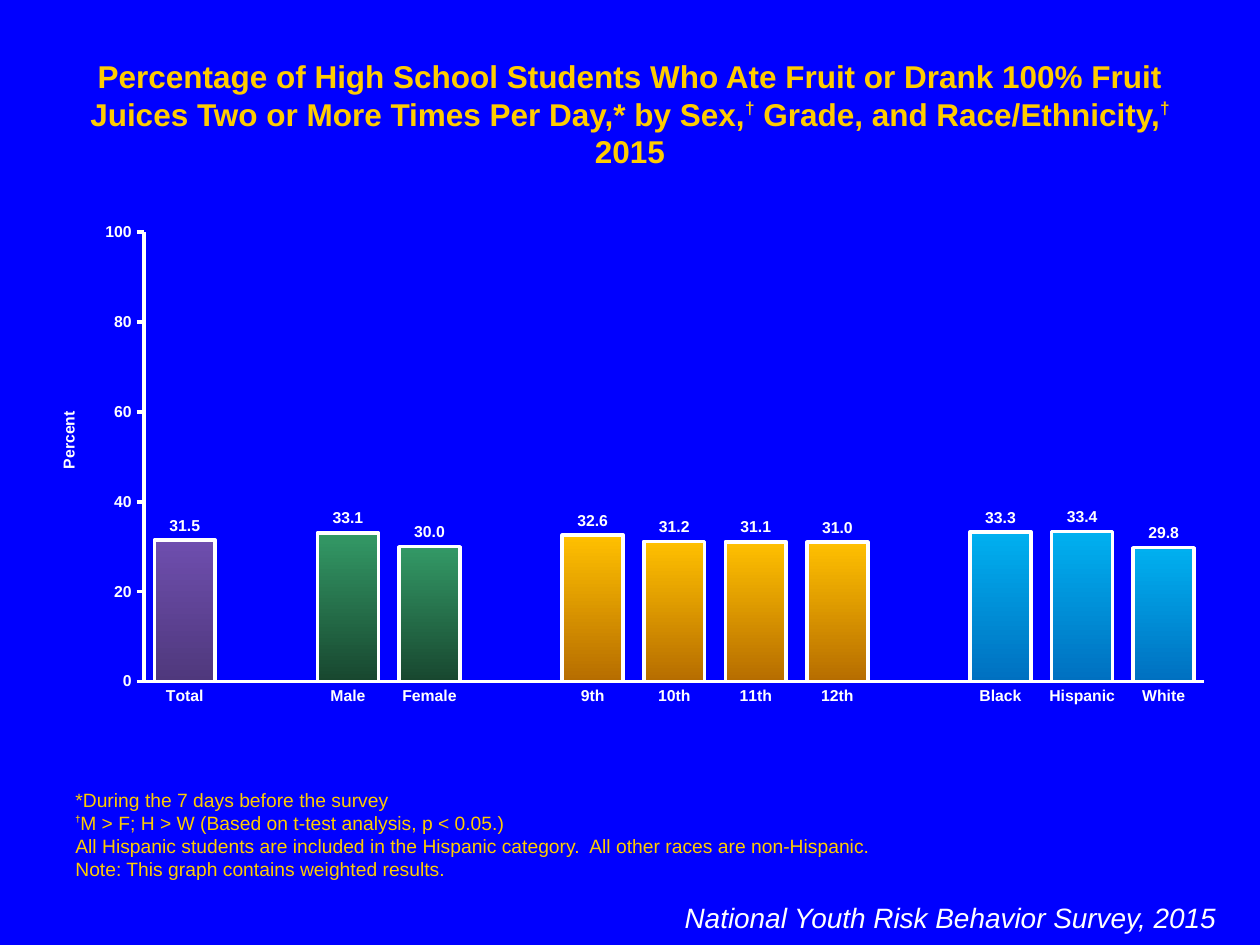
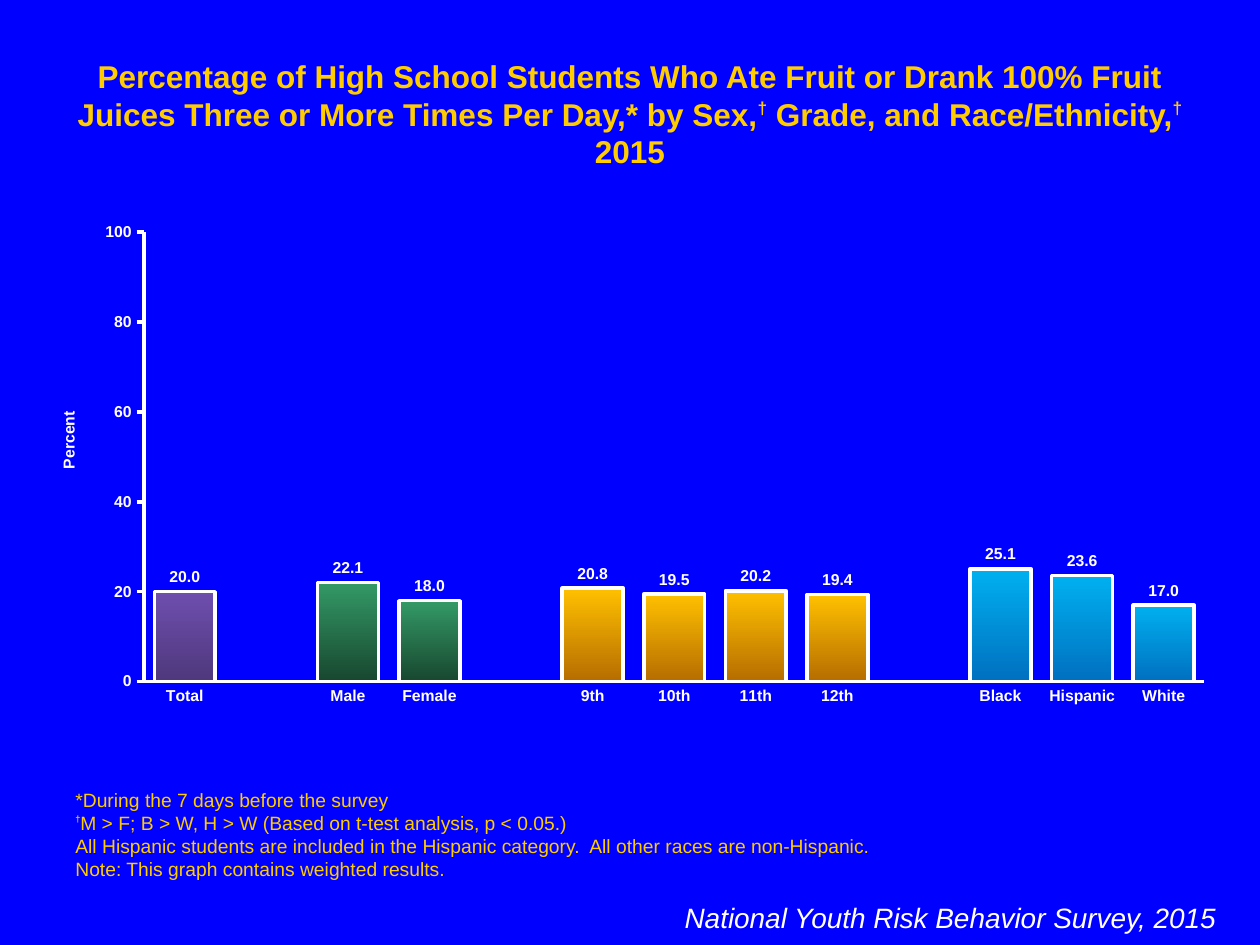
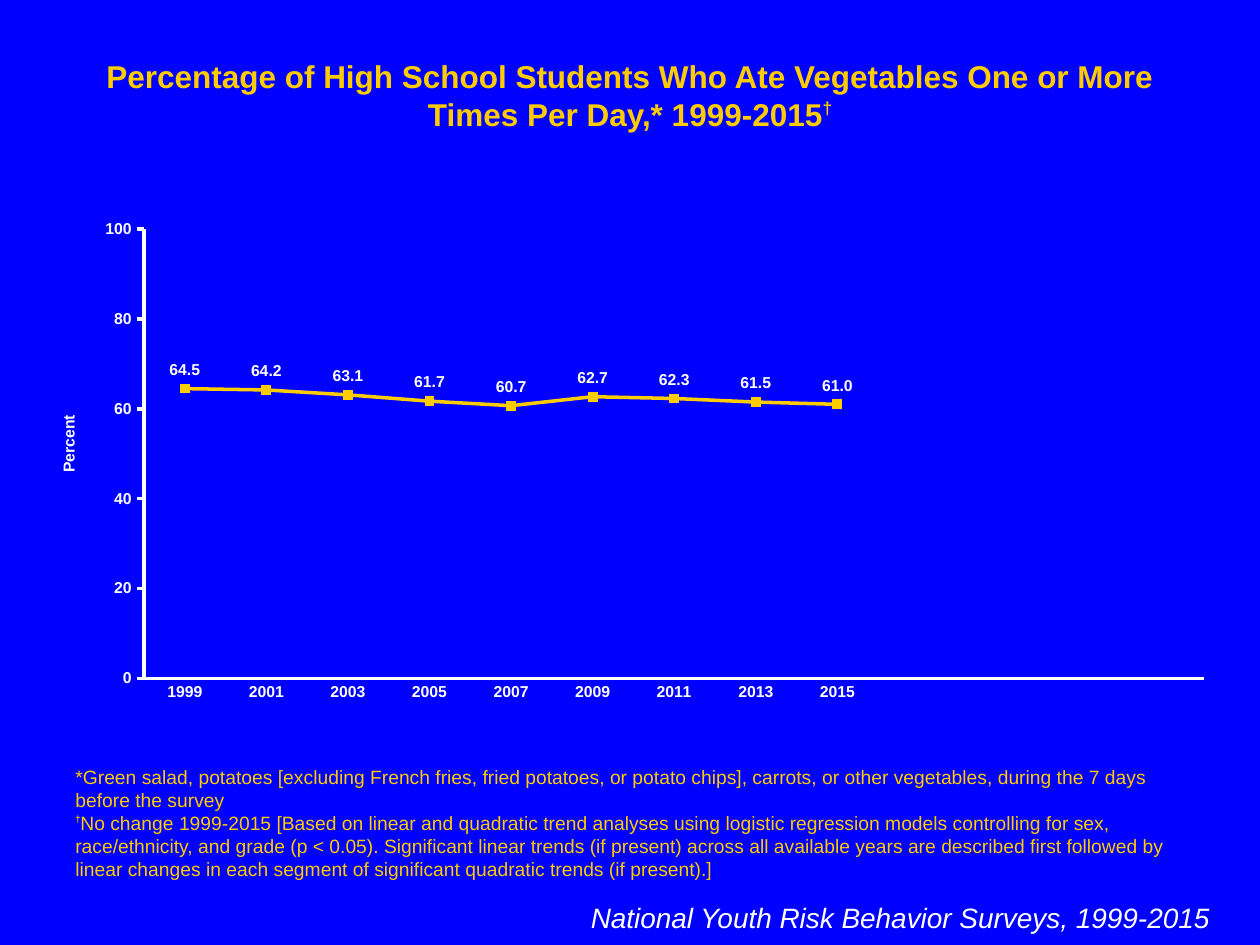
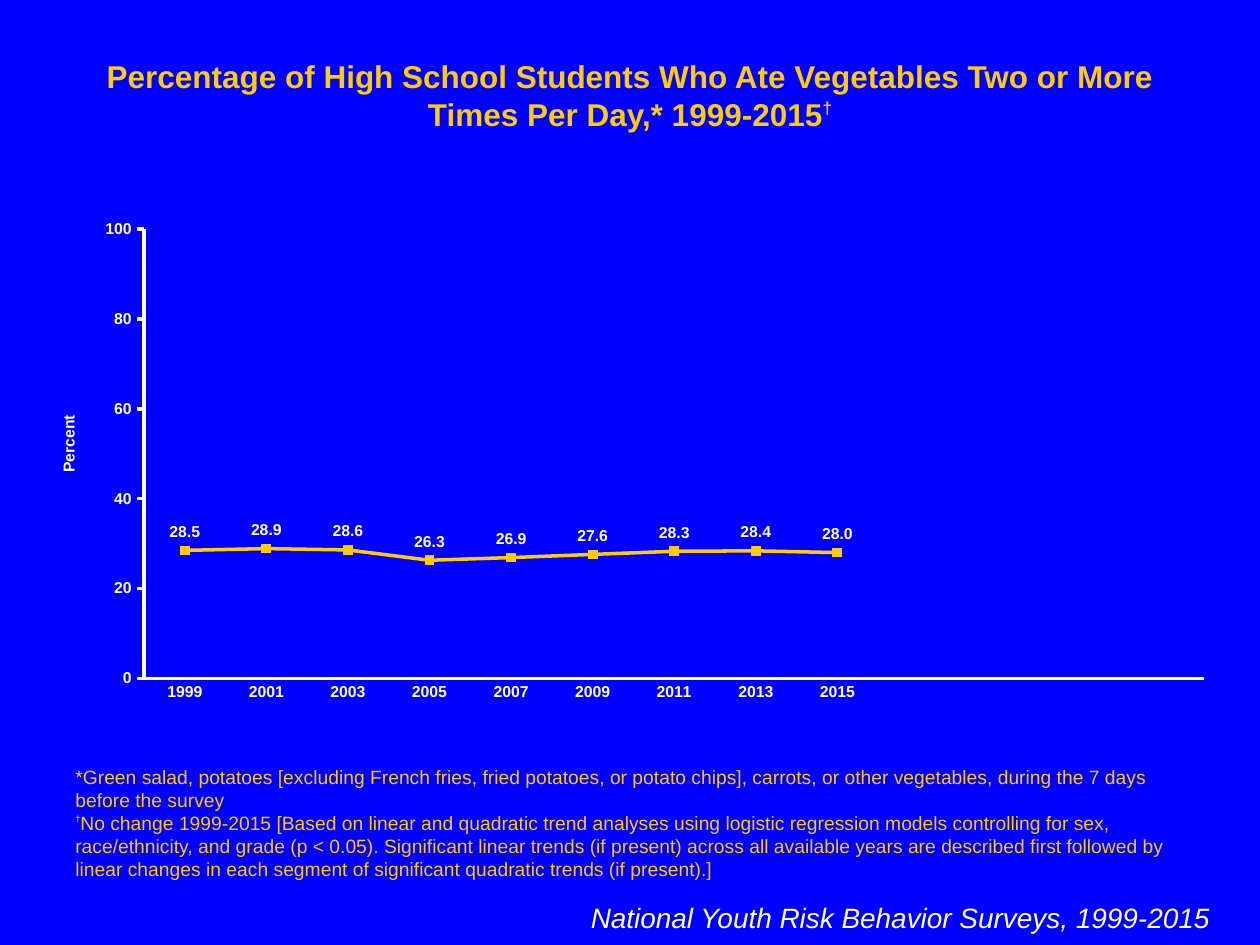
import pptx
import pptx.chart.data
import pptx.dml.color
import pptx.enum.chart
import pptx.enum.text
import pptx.oxml
import pptx.oxml.ns
import pptx.util

Inches, Pt = pptx.util.Inches, pptx.util.Pt
CH = pptx.enum.chart
ALIGN = pptx.enum.text.PP_ALIGN
ANCHOR = pptx.enum.text.MSO_ANCHOR

COLORS = {
    "background": "0000FF",
    "gold": "FFCC00",
    "white": "FFFFFF",
    "total": ("6E4EAE", "4F387C"),
    "sex": ("339966", "18472F"),
    "grade": ("FFC000", "B66D00"),
    "race": ("00B0F0", "0070C0"),
}
FONT = "Arial"
DAGGER = "†"
TITLE = {"size": Pt(18), "bold": True}
TITLE_DAGGER = {"size": Pt(17), "bold": True}
NOTE = {"size": Pt(11), "bold": False}
NOTE_DAGGER = {"size": Pt(9), "bold": True}
FOOTER = {"size": Pt(16), "italic": True}
CHART_FONT = {"size": Pt(9), "bold": True}

TITLE_BOX = (0.5, 0.4, 9, 0.4)
NOTE_BOX = (0.5, 6.75, 9, 0.29)
BAR_FOOTER_BOX = (4.25, 7.1, 5.5, 0.37)
LINE_FOOTER_BOX = (4.53, 7.1, 5.17, 0.37)
BAR_BOX = (0.25, 1.69, 9.5, 3.98)
LINE_BOX = (0.25, 1.67, 9.5, 4)
PLOT_INSET = (0.89, 0.15, 8.42, 3.57)

GROUPS = [
    ("total", ["Total"]),
    ("sex", ["Male", "Female"]),
    ("grade", ["9th", "10th", "11th", "12th"]),
    ("race", ["Black", "Hispanic", "White"]),
]
YEARS = [str(year) for year in range(1999, 2016, 2)]
YEAR_SLOTS = 13

BAR_TITLE = ("Percentage of High School Students Who Ate Fruit or Drank 100% Fruit Juices "
             "{} or More Times Per Day,* by Sex,† Grade, and Race/Ethnicity,† 2015")
BAR_NOTES = [
    "*During the 7 days before the survey",
    "†{} (Based on t-test analysis, p < 0.05.)",
    "All Hispanic students are included in the Hispanic category.  All other races are non-Hispanic.",
    "Note: This graph contains weighted results.",
]
LINE_TITLE = ("Percentage of High School Students Who Ate Vegetables "
              "{} or More Times Per Day,* 1999-2015†")
LINE_NOTES = [
    "*Green salad, potatoes [excluding French fries, fried potatoes, or potato chips], "
    "carrots, or other vegetables, during the 7 days before the survey",
    "†No change 1999-2015 [Based on linear and quadratic trend analyses using logistic "
    "regression models controlling for sex, race/ethnicity, and grade (p < 0.05). "
    "Significant linear trends (if present) across all available years are described first "
    "followed by linear changes in each segment of significant quadratic trends (if present).]",
]
BAR_SLIDES = [
    ("Two", "M > F; H > W",
     [[31.5], [33.1, 30.0], [32.6, 31.2, 31.1, 31.0], [33.3, 33.4, 29.8]]),
    ("Three", "M > F; B > W, H > W",
     [[20.0], [22.1, 18.0], [20.8, 19.5, 20.2, 19.4], [25.1, 23.6, 17.0]]),
]
LINE_SLIDES = [
    ("One", [64.5, 64.2, 63.1, 61.7, 60.7, 62.7, 62.3, 61.5, 61.0]),
    ("Two", [28.5, 28.9, 28.6, 26.3, 26.9, 27.6, 28.3, 28.4, 28.0]),
]


def rgb(value):
    return pptx.dml.color.RGBColor.from_string(value)


def set_all(obj, values):
    for key, value in values.items():
        setattr(obj, key, value)


def set_font(font, values, color):
    set_all(font, {"name": FONT, **values})
    font.color.rgb = rgb(color)


def set_line(line, color):
    line.color.rgb = rgb(color)
    line.width = Pt(2)


def place(sp, box):
    set_all(sp, dict(zip(("left", "top", "width", "height"), map(Inches, box))))


def add_run(p, text, values, color, baseline=0):
    r = p.add_run()
    r.text = text
    set_font(r.font, values, color)
    if baseline:
        r.font._element.set("baseline", str(baseline * 1000))


def fill_text(sp, lines, values, color, align, anchor=ANCHOR.TOP, dagger=None, baseline=0):
    tf = sp.text_frame
    set_all(tf, {"word_wrap": True, "vertical_anchor": anchor,
                 "auto_size": pptx.enum.text.MSO_AUTO_SIZE.SHAPE_TO_FIT_TEXT})
    for i, line in enumerate(lines):
        p = tf.add_paragraph() if i else tf.paragraphs[0]
        p.alignment = align
        for j, part in enumerate(line.split(DAGGER)):
            if j:
                add_run(p, DAGGER, dagger, color, baseline)
            if part:
                add_run(p, part, values, color)


def add_box(s, box, *args, **kwargs):
    sp = s.shapes.add_textbox(*map(Inches, box))
    fill_text(sp, *args, **kwargs)


def add_frame(prs, title, notes, footer, footer_box):
    s = prs.slides.add_slide(prs.slide_layouts[5])
    place(s.shapes.title, TITLE_BOX)
    fill_text(s.shapes.title, [title], TITLE, COLORS["gold"], ALIGN.CENTER,
              dagger=TITLE_DAGGER, baseline=40)
    add_box(s, NOTE_BOX, notes, NOTE, COLORS["gold"], ALIGN.LEFT, ANCHOR.BOTTOM,
            dagger=NOTE_DAGGER, baseline=50)
    add_box(s, footer_box, [footer], FOOTER, COLORS["white"], ALIGN.RIGHT)
    return s


def set_layout(parent, index, values, inner=False):
    for old in parent.findall(pptx.oxml.ns.qn("c:layout")):
        parent.remove(old)
    parts = ['<c:layoutTarget val="inner"/>'] if inner else []
    parts += [f'<c:{key}Mode val="edge"/>' for key in "xy"]
    parts += [f'<c:{key} val="{value:.3f}"/>' for key, value in values.items()]
    xml = (f'<c:layout {pptx.oxml.ns.nsdecls("c")}><c:manualLayout>'
           f'{"".join(parts)}</c:manualLayout></c:layout>')
    parent.insert(index, pptx.oxml.parse_xml(xml))


def format_axes(chart):
    for axis, tick in ((chart.category_axis, CH.XL_TICK_MARK.NONE),
                       (chart.value_axis, CH.XL_TICK_MARK.OUTSIDE)):
        set_all(axis, {"has_major_gridlines": False, "major_tick_mark": tick,
                       "minor_tick_mark": CH.XL_TICK_MARK.NONE})
        set_font(axis.tick_labels.font, CHART_FONT, COLORS["white"])
        set_line(axis.format.line, COLORS["white"])
    set_all(chart.value_axis, {"minimum_scale": 0, "maximum_scale": 100, "major_unit": 20})
    set_all(chart.value_axis.tick_labels,
            {"number_format": "#,##0", "number_format_is_linked": False})


def add_percent_chart(s, box, kind, cats, vals, label_position, title_top):
    data = pptx.chart.data.CategoryChartData(number_format="#,##0.0")
    data.categories = cats
    data.add_series("Series 1", vals)
    chart = s.shapes.add_chart(kind, *map(Inches, box), data).chart
    set_all(chart, {"has_legend": False, "has_title": False})
    set_font(chart.font, {"size": Pt(18)}, COLORS["white"])
    format_axes(chart)

    x, y, w, h = PLOT_INSET
    width, height = box[2:]
    set_layout(chart._chartSpace.chart.plotArea, 0,
               {"x": x / width, "y": y / height, "w": w / width, "h": h / height}, inner=True)
    title = chart.value_axis.axis_title
    add_run(title.text_frame.paragraphs[0], "Percent", CHART_FONT, COLORS["white"])
    title.text_frame._txBody.bodyPr.set("rot", "-5400000")
    title.text_frame._txBody.bodyPr.set("vert", "horz")
    set_layout(title._element, 1, {"x": 0.02, "y": title_top})

    plot = chart.plots[0]
    set_all(plot, {"vary_by_categories": False, "has_data_labels": True})
    set_all(plot.data_labels, {"show_value": True, "number_format": "#,##0.0",
                               "number_format_is_linked": False, "position": label_position})
    set_font(plot.data_labels.font, CHART_FONT, COLORS["white"])
    return plot


def add_bar_chart(s, box, groups):
    cats, vals, fills = [], [], []
    for (name, labels), values in zip(GROUPS, groups):
        if cats:
            cats.append("")
            vals.append(None)
            fills.append(None)
        cats += labels
        vals += values
        fills += [name] * len(labels)
    plot = add_percent_chart(s, box, CH.XL_CHART_TYPE.COLUMN_CLUSTERED, cats, vals,
                             CH.XL_LABEL_POSITION.OUTSIDE_END, 0.39)
    set_all(plot, {"gap_width": 34, "overlap": 100})
    for i, name in enumerate(fills):
        if name:
            form = plot.series[0].points[i].format
            form.fill.gradient()
            form.fill.gradient_angle = 270
            for stop, color in zip(form.fill.gradient_stops, COLORS[name]):
                stop.color.rgb = rgb(color)
            set_line(form.line, COLORS["white"])


def add_line_chart(s, box, values):
    blanks = YEAR_SLOTS - len(YEARS)
    plot = add_percent_chart(s, box, CH.XL_CHART_TYPE.LINE_MARKERS, YEARS + [""] * blanks,
                             values + [None] * blanks, CH.XL_LABEL_POSITION.ABOVE, 0.4)
    ser = plot.series[0]
    ser.smooth = False
    set_line(ser.format.line, COLORS["gold"])
    set_all(ser.marker, {"style": CH.XL_MARKER_STYLE.SQUARE, "size": 5})
    ser.marker.format.fill.solid()
    ser.marker.format.fill.fore_color.rgb = rgb(COLORS["gold"])
    ser.marker.format.line.color.rgb = rgb(COLORS["gold"])


def add_bar_slide(prs, times, finding, groups):
    s = add_frame(prs, BAR_TITLE.format(times), [note.format(finding) for note in BAR_NOTES],
                  "National Youth Risk Behavior Survey, 2015", BAR_FOOTER_BOX)
    add_bar_chart(s, BAR_BOX, groups)


def add_line_slide(prs, times, values):
    s = add_frame(prs, LINE_TITLE.format(times), LINE_NOTES,
                  "National Youth Risk Behavior Surveys, 1999-2015", LINE_FOOTER_BOX)
    add_line_chart(s, LINE_BOX, values)


def main():
    prs = pptx.Presentation()
    set_all(prs, {"slide_width": Inches(10), "slide_height": Inches(7.5)})
    fill = prs.slide_master.background.fill
    fill.solid()
    fill.fore_color.rgb = rgb(COLORS["background"])
    for args in BAR_SLIDES:
        add_bar_slide(prs, *args)
    for args in LINE_SLIDES:
        add_line_slide(prs, *args)
    prs.save("out.pptx")


if __name__ == "__main__":
    main()
